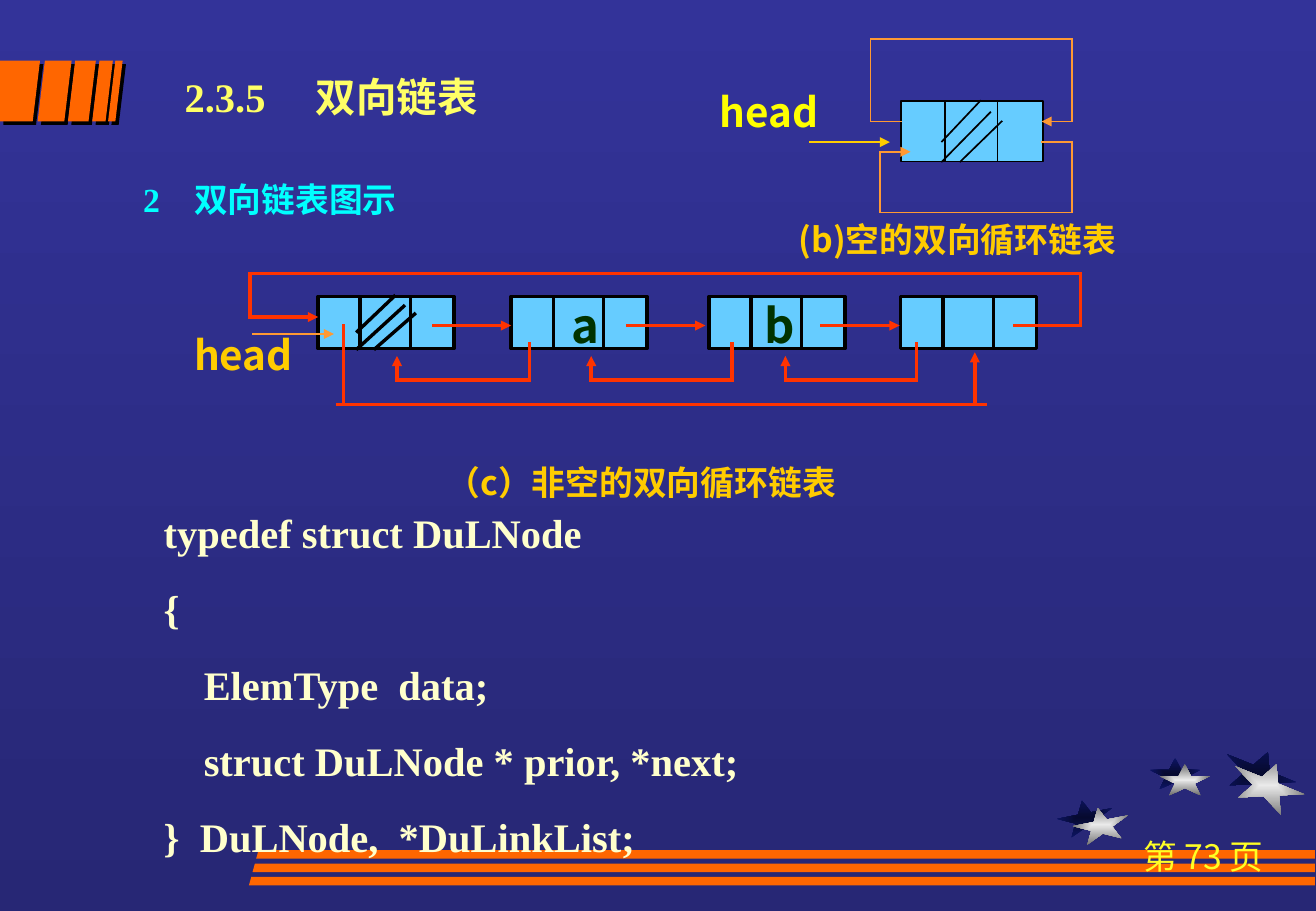
from dataclasses import dataclass
from itertools import pairwise

from lxml.etree import SubElement
from pptx import Presentation
from pptx.dml.color import RGBColor
from pptx.enum.shapes import MSO_CONNECTOR, MSO_SHAPE
from pptx.enum.text import MSO_ANCHOR, PP_ALIGN
from pptx.oxml import parse_xml
from pptx.oxml.ns import nsdecls, qn
from pptx.util import Inches, Pt


class Theme:
    BG = ("333399", "272775")
    STAR_DARK = ("060A2F", "0D1565")
    STAR_LIGHT = ("EAEAEA", "6C6C6C")
    ORANGE, AMBER, GOLD, RED = "FF6600", "FF9933", "FFCC00", "FF3300"
    TITLE, YELLOW, PAGE, CYAN = "FFFF66", "FFFF00", "FFFF25", "00FFFF"
    CODE, NODE, DATA, BLACK = "FFFFCC", "66CCFF", "003300", "000000"
    SANS, SERIF = "Noto Sans CJK SC", "Times New Roman"
    SMALL, BODY, LARGE = 20, 24, 28


def rgb(color):
    return RGBColor.from_string(color)


def format_text(tf, text, size, color, font=Theme.SANS, bold=True, before=0, tab=None):
    """Fill a frame; tab is the stop, in inches, for text after a tab."""
    tf.word_wrap = True
    tf.text = text
    for p in tf.paragraphs:
        p.alignment = PP_ALIGN.LEFT
        p.space_before = Pt(before)
        if tab:
            stops = SubElement(p._p.get_or_add_pPr(), qn("a:tabLst"))
            SubElement(stops, qn("a:tab"), pos=str(Inches(tab)), algn="l")
        for r in p.runs:
            r.font.size, r.font.bold, r.font.name = Pt(size), bold, font
            r.font.color.rgb = rgb(color)
            SubElement(r._r.get_or_add_rPr(), qn("a:ea"), typeface=Theme.SANS)


@dataclass
class Region:
    """Drawing area whose coordinates are inches from its top left corner."""
    s: object
    x: float = 0
    y: float = 0

    def at(self, x, y):
        return Inches(self.x + x), Inches(self.y + y)

    def text(self, x, y, w, h, text, size, color, **style):
        sp = self.s.shapes.add_textbox(*self.at(x, y), Inches(w), Inches(h))
        format_text(sp.text_frame, text, size, color, **style)
        return sp.text_frame

    def shape(self, kind, x, y, w, h):
        sp = self.s.shapes.add_shape(kind, *self.at(x, y), Inches(w), Inches(h))
        sp.shadow.inherit = False
        return sp

    def polygon(self, points, color):
        start, *rest = [self.at(*point) for point in points]
        builder = self.s.shapes.build_freeform(*start)
        builder.add_line_segments(rest, close=True)
        sp = builder.convert_to_shape()
        sp.shadow.inherit = False
        sp.fill.solid()
        sp.fill.fore_color.rgb = rgb(color)
        sp.line.fill.background()
        return sp

    def route(self, points, color, width, arrow=True):
        """Join the points by straight lines; the last one may end in an arrow."""
        for start, end in pairwise(points):
            c = self.s.shapes.add_connector(
                MSO_CONNECTOR.STRAIGHT, *self.at(*start), *self.at(*end))
            c.line.color.rgb = rgb(color)
            c.line.width = Pt(width)
            SubElement(c._element.spPr, qn("a:effectLst"))
            c.line._get_or_add_ln().set("cap", "sq")
        if arrow:
            SubElement(c.line._get_or_add_ln(), qn("a:tailEnd"), type="triangle")

    def node(self, x, y, w, h, width, hatched=False):
        """List node with prior, data and next fields."""
        sp = self.shape(MSO_SHAPE.RECTANGLE, x, y, w, h)
        sp.fill.solid()
        sp.fill.fore_color.rgb = rgb(Theme.NODE)
        sp.line.color.rgb = rgb(Theme.BLACK)
        sp.line.width = Pt(width)
        strokes = [((f, 0), (f, 1)) for f in (0.31, 0.68)]
        if hatched:
            strokes += [((0.63, 0.19), (0.29, 1)), ((0.42, 1), (0.71, 0.34)),
                        ((0.29, 0.67), (0.56, 0))]
        for stroke in strokes:
            self.route([(x + fx * w, y + fy * h) for fx, fy in stroke],
                       Theme.BLACK, width, arrow=False)


def draw_stars(area):
    stars = [(0, 0.41, 0.46, 0.28, -11, 0.13, 0.06),
             (0.76, 0.06, 0.42, 0.26, 0, 0.08, 0.05),
             (1.36, 0, 0.61, 0.37, 22, 0.07, 0.1)]
    for colors, shift in ((Theme.STAR_DARK, 0), (Theme.STAR_LIGHT, 1)):
        for x, y, w, h, turn, dx, dy in stars:
            sp = area.shape(MSO_SHAPE.STAR_5_POINT, x + shift * dx, y + shift * dy, w, h)
            sp.rotation = turn
            sp.line.fill.background()
            sp.fill.gradient()
            for stop, color in zip(sp.fill.gradient_stops, colors):
                stop.color.rgb = rgb(color)
            lin = sp._element.spPr.find(qn("a:gradFill")).find(qn("a:lin"))
            lin.getparent().replace(lin, parse_xml(
                f'<a:path {nsdecls("a")} path="rect"><a:fillToRect '
                'l="50000" t="50000" r="50000" b="50000"/></a:path>'))


def draw_badge(area):
    slant, h = 0.06, 0.5
    for left, right in ((0, 0.33), (0.37, 0.59), (0.62, 0.79), (0.82, 0.93), (0.95, 1.01)):
        sp = area.polygon([(left, 0), (right, 0), (right - slant, h),
                           (max(left - slant, 0), h)], Theme.ORANGE)
        effects = sp._element.spPr.find(qn("a:effectLst"))
        shadow = SubElement(effects, qn("a:outerShdw"), dist=str(Pt(2.8)), dir="2700000",
                            algn="ctr", rotWithShape="0")
        SubElement(shadow, qn("a:srgbClr"), val=Theme.BLACK)


def draw_footer(area):
    for i in range(3):
        left, top, right, h = 0.06 - 0.03 * i, 0.11 * i, 8.78, 0.07
        area.polygon([(left, top + h), (right, top + h), (right, top),
                      (left + 0.02, top)], Theme.ORANGE)
    tf = area.text(6.95, -0.17, 1.83, 0.44, "第 73 页", Theme.SMALL, Theme.PAGE, bold=False)
    tf.paragraphs[0].alignment = PP_ALIGN.CENTER


def draw_title(s):
    title = s.shapes.title
    title.left, title.top, title.width, title.height = map(Inches, (1.42, 0.5, 3.33, 0.58))
    title.text_frame.vertical_anchor = MSO_ANCHOR.MIDDLE
    format_text(title.text_frame, "2.3.5\t双向链表", Theme.BODY, Theme.TITLE,
                font=Theme.SERIF, tab=1.08)


def draw_empty_list(area):
    area.text(0, 0.35, 1.42, 0.5, "head", Theme.BODY, Theme.YELLOW)
    area.node(1.59, 0.51, 1.17, 0.5, 1, hatched=True)
    area.route([(0.84, 0.85), (1.5, 0.85)], Theme.GOLD, 1)
    area.text(0.65, 1.43, 3.17, 0.44, "(b)空的双向循环链表", Theme.SMALL, Theme.GOLD)
    area.route([(1.59, 0.68), (1.34, 0.68), (1.34, 0), (3, 0), (3, 0.68), (2.75, 0.68)],
               Theme.AMBER, 1)
    area.route([(2.75, 0.85), (3, 0.85), (3, 1.43), (1.42, 1.43), (1.42, 0.93),
                (1.67, 0.93)], Theme.AMBER, 1)


def draw_filled_list(area):
    area.text(2.08, 1.5, 3.67, 0.44, "（c）非空的双向循环链表", Theme.SMALL, Theme.GOLD)
    for i, x in enumerate((1.12, 2.71, 4.34, 5.92)):
        area.node(x, 0.19, 1.12, 0.43, 2, hatched=i == 0)
    for i, prior_x in enumerate((2.86, 4.53, 6.05)):
        next_x, target_x = 2.07 + 1.6 * i, 1.77 + 1.6 * i
        area.route([(next_x, 0.43), (next_x + 0.64, 0.43)], Theme.RED, 2)
        area.route([(prior_x, 0.58), (prior_x, 0.88), (target_x, 0.88), (target_x, 0.68)],
                   Theme.RED, 2)
    area.route([(6.86, 0.43), (7.4, 0.43), (7.4, 0), (0.56, 0), (0.56, 0.36),
                (1.12, 0.36)], Theme.RED, 2)
    area.route([(1.33, 0.43), (1.33, 1.08)], Theme.RED, 2, arrow=False)
    area.route([(1.28, 1.08), (6.62, 1.08)], Theme.RED, 2, arrow=False)
    area.route([(6.53, 1.08), (6.53, 0.65)], Theme.RED, 2)
    area.route([(0.58, 0.5), (1.25, 0.5)], Theme.AMBER, 1)
    area.text(0, 0.42, 1.23, 0.5, "head", Theme.BODY, Theme.GOLD)
    for i, value in enumerate("ab"):
        area.text(3.11 + 1.59 * i, 0.14, 0.4, 0.57, value, Theme.LARGE, Theme.DATA)


def draw_code(area):
    lines = ["typedef struct DuLNode", "{", "ElemType  data;",
             "struct DuLNode * prior, *next;", "}  DuLNode,  *DuLinkList;"]
    tf = area.text(0, 0, 6.45, 2.94, "\n".join(lines), Theme.BODY, Theme.CODE,
                   font=Theme.SERIF, before=16.3)
    tf.paragraphs[0].space_before = Pt(0)
    for p in tf.paragraphs[2:4]:
        p._p.get_or_add_pPr().set("marL", str(Inches(0.33)))


def main():
    prs = Presentation()
    prs.slide_width, prs.slide_height = Inches(10.84), Inches(7.5)
    s = prs.slides.add_slide(prs.slide_layouts[5])
    fill = s.background.fill
    fill.gradient()
    fill.gradient_angle = 270
    for stop, color in zip(fill.gradient_stops, Theme.BG):
        stop.color.rgb = rgb(color)
    draw_stars(Region(s, 8.71, 6.18))
    draw_badge(Region(s, 0, 0.5))
    draw_footer(Region(s, 2.05, 7))
    draw_title(s)
    Region(s, 1.08, 1.42).text(0, 0, 3.75, 0.44, "2\t双向链表图示", Theme.SMALL,
                               Theme.CYAN, font=Theme.SERIF, tab=0.42)
    draw_empty_list(Region(s, 5.83, 0.32))
    draw_filled_list(Region(s, 1.5, 2.25))
    draw_code(Region(s, 1.25, 4.13))
    prs.save("out.pptx")


if __name__ == "__main__":
    main()
